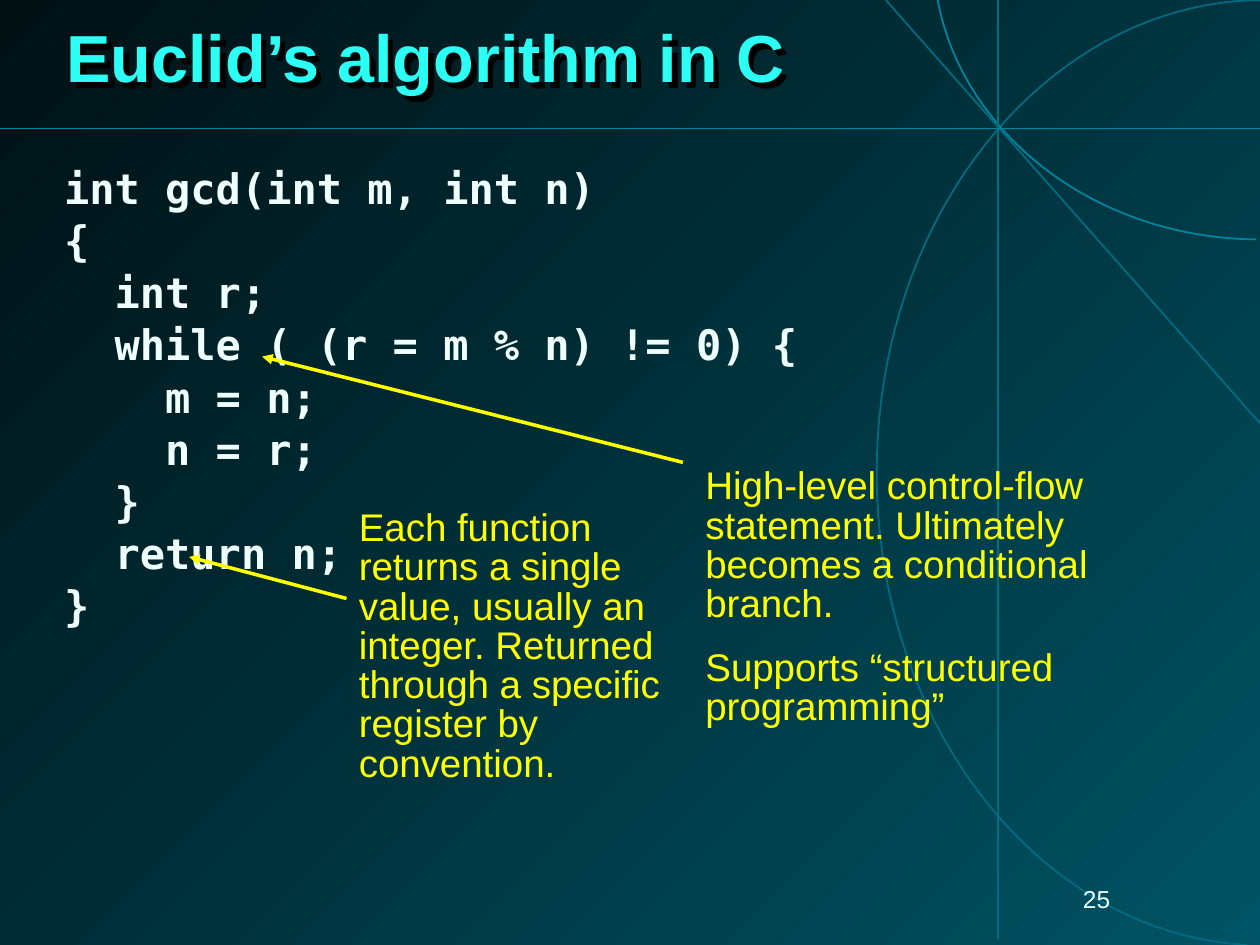
from pptx import Presentation
from pptx.dml.color import RGBColor
from pptx.enum.shapes import MSO_CONNECTOR
from pptx.enum.text import MSO_ANCHOR, PP_ALIGN
from pptx.oxml import parse_xml
from pptx.oxml.ns import nsdecls, qn
from pptx.util import Inches, Pt
from lxml.etree import SubElement

DIM_TEAL, TEAL = "006C82", "0085A0"
PALE, CYAN, YELLOW = "EFFFFD", "2CFFF3", "FFFF00"
SANS, MONO = "Arial", "DejaVu Sans Mono"

CODE = """int gcd(int m, int n)
{
  int r;
  while ( (r = m % n) != 0) {
    m = n;
    n = r;
  }
  return n;
}""".split("\n")

CONTROL_FLOW = [
    "High-level control-flow statement. Ultimately becomes a conditional branch.",
    "Supports “structured programming”",
]
RETURN_VALUE = ["Each function returns a single value, usually an integer. "
                "Returned through a specific register by convention."]


def rgb(value):
    return RGBColor.from_string(value)


def set_background(s, start, end):
    fill = s.background.fill
    fill.gradient()
    fill.gradient_angle = 135
    for stop, color, position in zip(fill.gradient_stops, (start, end), (0, 1)):
        stop.color.rgb = rgb(color)
        stop.position = position


def add_line(s, start, end, color, width=1, arrow=False):
    line = s.shapes.add_connector(
        MSO_CONNECTOR.STRAIGHT, *[Inches(v) for v in (*start, *end)])
    line.line.color.rgb = rgb(color)
    line.line.width = Pt(width)
    if arrow:
        SubElement(line.line._get_or_add_ln(), qn("a:tailEnd"), type="triangle")
    SubElement(line._element.spPr, qn("a:effectLst"))


def bezier(p0, p1, p2, p3, steps=40):
    """Return points along a cubic curve, without its start."""
    points = []
    for i in range(1, steps + 1):
        t = i / steps
        u = 1 - t
        points.append(tuple(
            u**3 * a + 3 * u * u * t * b + 3 * u * t * t * c + t**3 * d
            for a, b, c, d in zip(p0, p1, p2, p3)))
    return points


def add_curve(s, start, segments, color):
    """Draw an open line through cubic segments of (control, control, end)."""
    points = [start]
    for segment in segments:
        points += bezier(points[-1], *segment)
    points = [(Inches(x), Inches(y)) for x, y in points]
    builder = s.shapes.build_freeform(*points[0])
    builder.add_line_segments(points[1:], close=False)
    sp = builder.convert_to_shape()
    sp.shadow.inherit = False
    sp.fill.background()
    sp.line.color.rgb = rgb(color)
    sp.line.width = Pt(1)


def add_text(s, box, lines, size, color, font=SANS, bold=False, spacing=0.85,
             before=0, align=PP_ALIGN.LEFT, anchor=MSO_ANCHOR.TOP):
    sp = s.shapes.add_textbox(*[Inches(v) for v in box])
    tf = sp.text_frame
    tf.word_wrap = True
    tf.vertical_anchor = anchor
    for i, line in enumerate(lines):
        p = tf.paragraphs[0] if i == 0 else tf.add_paragraph()
        p.alignment = align
        p.line_spacing = spacing
        if i:
            p.space_before = Pt(before)
        r = p.add_run()
        r.text = line
        r.font.name = font
        r.font.size = Pt(size)
        r.font.bold = bold
        r.font.color.rgb = rgb(color)
    return sp


def add_shadow(sp):
    sp._element.spPr.append(parse_xml(
        f'<a:effectLst {nsdecls("a")}>'
        f'<a:outerShdw dist="{Pt(4.5)}" dir="2700000">'
        '<a:srgbClr val="000000"/></a:outerShdw></a:effectLst>'))


def add_backdrop(s):
    add_curve(s, (9.9, 7.5), [((8.22, 7.41), (6.91, 5.69), (6.96, 3.64)),
                              ((7.01, 1.59), (8.4, -0.03), (10.08, 0))], DIM_TEAL)
    add_curve(s, (9.97, 1.9), [((8.71, 1.89), (7.64, 1.08), (7.44, -0.01))], TEAL)
    add_line(s, (10, 3.36), (7.03, 0), DIM_TEAL)
    add_line(s, (7.92, 0), (7.92, 7.45), DIM_TEAL)
    add_line(s, (0, 1.02), (10, 1.02), TEAL)


def add_note(s, box, lines, arrow_start, arrow_end):
    add_line(s, arrow_start, arrow_end, YELLOW, 2, arrow=True)
    add_text(s, box, lines, 22, YELLOW, before=13.8)


def main():
    prs = Presentation()
    prs.slide_width, prs.slide_height = Inches(10), Inches(7.5)
    s = prs.slides.add_slide(prs.slide_layouts[6])
    set_background(s, "005364", "001013")
    add_backdrop(s)
    add_text(s, (0.83, 7, 8.08, 0.3), ["25"], 14, PALE, align=PP_ALIGN.RIGHT)
    title = add_text(s, (0.43, 0, 9.21, 0.98), ["Euclid’s algorithm in C"], 38, CYAN,
                     bold=True, spacing=0.87, anchor=MSO_ANCHOR.MIDDLE)
    add_shadow(title)
    add_text(s, (0.41, 1.24, 9.12, 5.59), CODE, 24, PALE, MONO, bold=True,
             spacing=1, before=1)
    add_note(s, (5.5, 3.67, 3.92, 2.16), CONTROL_FLOW, (5.42, 3.67), (2.08, 2.83))
    add_note(s, (2.75, 4, 2.83, 2.28), RETURN_VALUE, (2.75, 4.75), (1.5, 4.42))
    prs.save("out.pptx")


if __name__ == "__main__":
    main()
